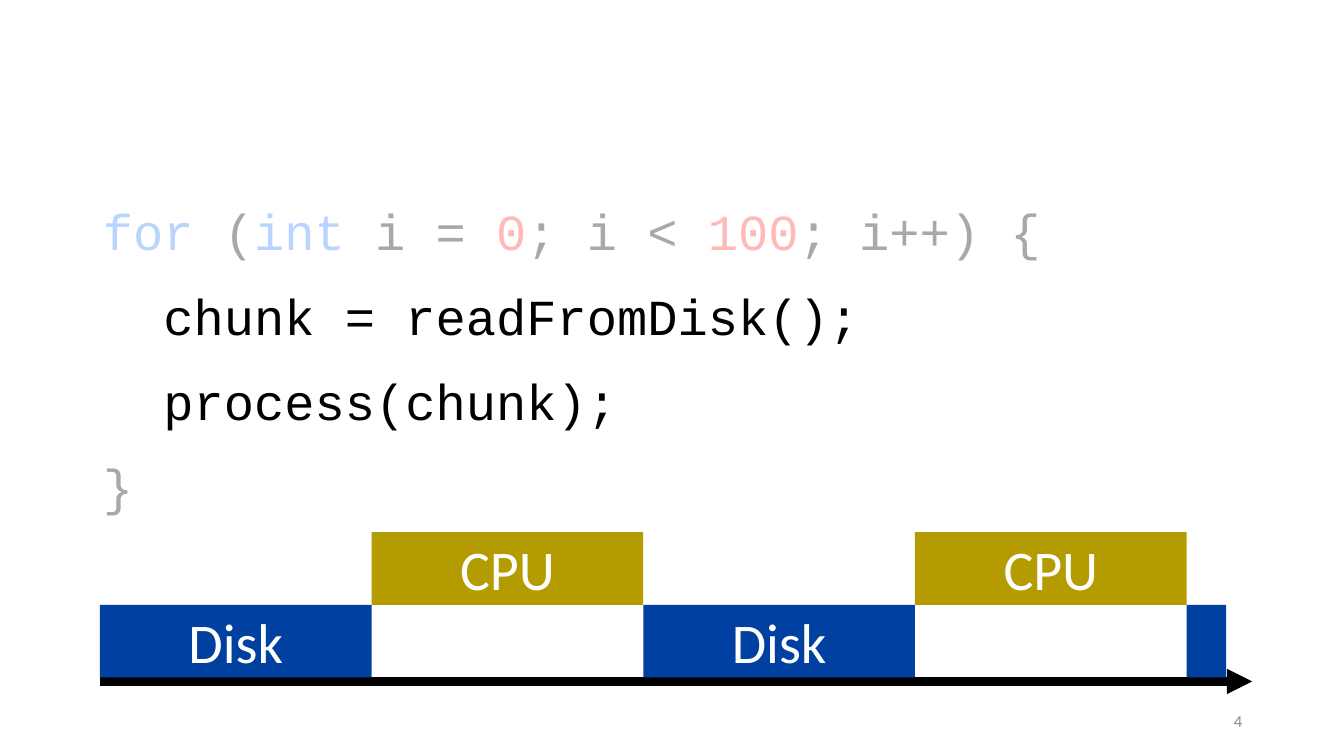
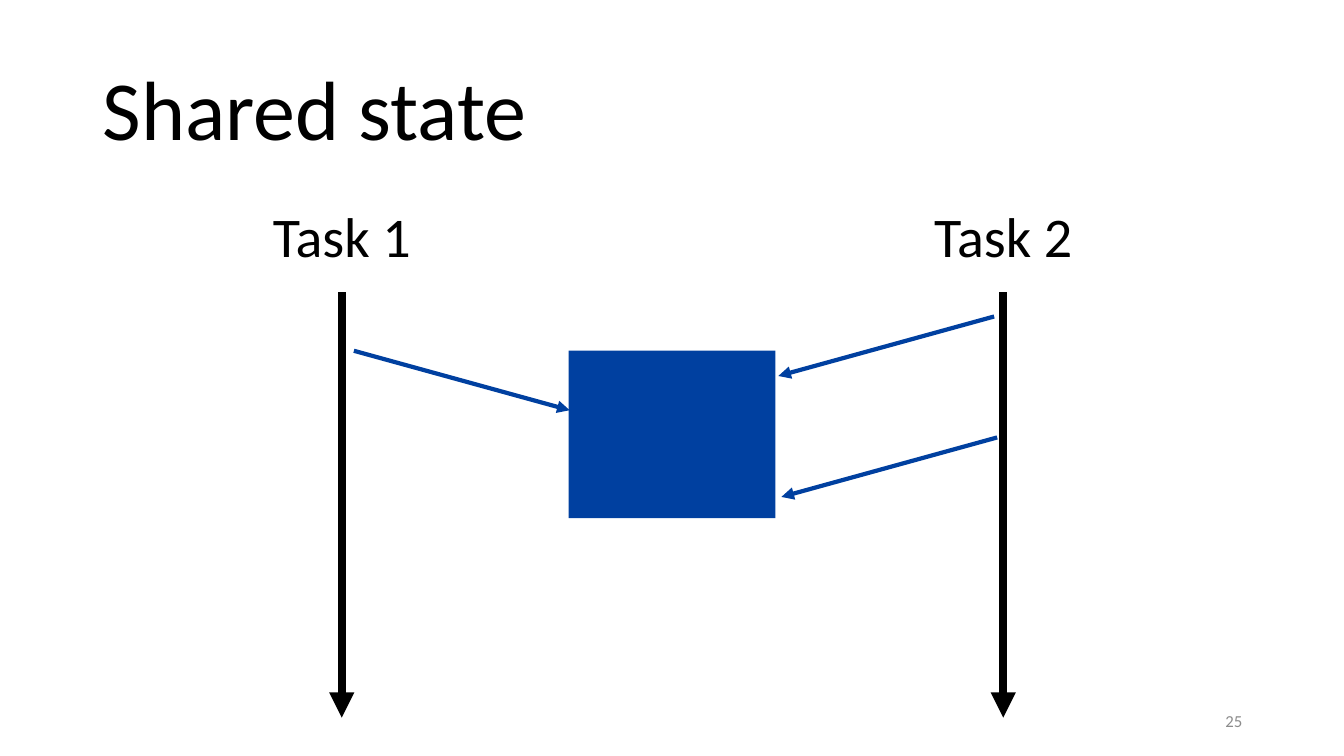
import pptx
import pptx.util
import pptx.dml.color
import pptx.enum.shapes
import pptx.enum.text
import pptx.oxml.ns
import lxml.etree

Inches = pptx.util.Inches
Align = pptx.enum.text.PP_ALIGN
Anchor = pptx.enum.text.MSO_ANCHOR
AutoSize = pptx.enum.text.MSO_AUTO_SIZE

COLORS = {
    "black": "000000",
    "white": "FFFFFF",
    "disk": "0040A0",
    "cpu": "B49C00",
    "number": "8C8C8C",
    "keyword": "B9D5FF",
    "faded": "A8A8A8",
    "literal": "FFB9B9",
}
TEXT_FONT = "Calibri"
CODE_FONT = "Courier New"
CODE_INDENT = 0.6


def rgb(name):
    return pptx.dml.color.RGBColor.from_string(COLORS[name])


def add_text(paragraph, text, size=40, font=TEXT_FONT, color="black", align=None):
    run = paragraph.add_run()
    run.text = text
    run.font.size = pptx.util.Pt(size)
    run.font.name = font
    run.font.color.rgb = rgb(color)
    if align is not None:
        paragraph.alignment = align


def add_xml(parent, tag, **attributes):
    return lxml.etree.SubElement(parent, pptx.oxml.ns.qn(tag), attributes)


class Deck:
    def __init__(self):
        self.presentation = pptx.Presentation()
        self.presentation.slide_width = Inches(13.33)
        self.presentation.slide_height = Inches(7.5)
        self.slide = None

    def new_slide(self, layout, number):
        self.slide = self.presentation.slides.add_slide(self.presentation.slide_layouts[layout])
        self.label(str(number), 9.42, 6.95, 3, 0.4, anchor=Anchor.MIDDLE,
                   size=12, color="number", align=Align.RIGHT)

    def place(self, shape, left, top, width, height, anchor):
        shape.left, shape.top = Inches(left), Inches(top)
        shape.width, shape.height = Inches(width), Inches(height)
        frame = shape.text_frame
        frame.word_wrap = True
        frame.auto_size = AutoSize.NONE
        frame.vertical_anchor = anchor
        return frame

    def title(self, text):
        frame = self.place(self.slide.shapes.title, 0.92, 0.4, 11.5, 1.45, Anchor.MIDDLE)
        paragraph = frame.paragraphs[0]
        paragraph.line_spacing = 0.9
        add_text(paragraph, text, size=60, align=Align.LEFT)

    def remove_title(self):
        element = self.slide.shapes.title.element
        element.getparent().remove(element)

    def code(self, lines):
        frame = self.place(self.slide.placeholders[1], 0.92, 2, 11.5, 4.76, Anchor.TOP)
        for index, (level, parts) in enumerate(lines):
            paragraph = frame.add_paragraph() if index else frame.paragraphs[0]
            paragraph.line_spacing = 0.9
            paragraph.space_before = pptx.util.Pt(10)
            paragraph.space_after = pptx.util.Pt(12)
            properties = paragraph._p.get_or_add_pPr()
            properties.set("marL", str(Inches(CODE_INDENT * level)))
            properties.set("indent", "0")
            add_xml(properties, "a:buNone")
            for text, color in parts:
                add_text(paragraph, text, size=36, font=CODE_FONT, color=color)

    def label(self, text, left, top, width, height, anchor=Anchor.TOP, **style):
        box = self.slide.shapes.add_textbox(0, 0, 0, 0)
        frame = self.place(box, left, top, width, height, anchor)
        add_text(frame.paragraphs[0], text, **style)

    def block(self, left, top, width, height, fill, text=""):
        shape = self.slide.shapes.add_shape(
            pptx.enum.shapes.MSO_SHAPE.RECTANGLE,
            Inches(left), Inches(top), Inches(width), Inches(height))
        shape.shadow.inherit = False
        shape.fill.solid()
        shape.fill.fore_color.rgb = rgb(fill)
        shape.line.fill.background()
        if text:
            shape.text_frame.vertical_anchor = Anchor.MIDDLE
            add_text(shape.text_frame.paragraphs[0], text, color="white", align=Align.CENTER)

    def arrow(self, start, end, color="black", width=6):
        connector = self.slide.shapes.add_connector(
            pptx.enum.shapes.MSO_CONNECTOR.STRAIGHT,
            *(Inches(value) for value in (*start, *end)))
        connector.line.color.rgb = rgb(color)
        connector.line.width = pptx.util.Pt(width)
        add_xml(connector.line._get_or_add_ln(), "a:tailEnd", type="triangle")
        add_xml(connector.element.spPr, "a:effectLst")


def build_timeline_slide(deck):
    deck.new_slide(1, 4)
    deck.remove_title()
    deck.code([
        (0, [("for", "keyword"), (" (", "faded"), ("int", "keyword"), (" i = ", "faded"),
             ("0", "literal"), ("; i < ", "faded"), ("100", "literal"),
             ("; i++) {", "faded")]),
        (1, [("chunk = readFromDisk();", "black")]),
        (1, [("process(chunk);", "black")]),
        (0, [("}", "faded")]),
    ])
    start, last, height = 0.99, 11.77, 0.72
    deck.arrow((start, 6.76), (12.42, 6.76))
    step = (last - start) / 4
    rows = [("Disk", "disk", 6), ("CPU", "cpu", 6 - height)]
    for index in range(4):
        text, fill, top = rows[index % 2]
        deck.block(start + index * step, top, step, height, fill, text)
    deck.block(last, 6, 0.39, height, "disk")


def build_shared_state_slide(deck):
    deck.new_slide(5, 25)
    deck.title("Shared state")
    label_width = 2.52
    for text, center in (("Task 1", 3.39), ("Task 2", 9.95)):
        deck.arrow((center, 2.9), (center, 7.12))
        deck.label(text, center - label_width / 2, 1.95, label_width, 0.77, align=Align.CENTER)
    deck.block(5.64, 3.48, 2.05, 1.66, "disk")
    reach, drop = 2.14, 0.59
    for left, top, direction in ((3.51, 3.48, 1), (9.86, 3.14, -1), (9.89, 4.34, -1)):
        deck.arrow((left, top), (left + direction * reach, top + drop), "disk", 3)


def main():
    deck = Deck()
    build_timeline_slide(deck)
    build_shared_state_slide(deck)
    deck.presentation.save("out.pptx")


if __name__ == "__main__":
    main()
